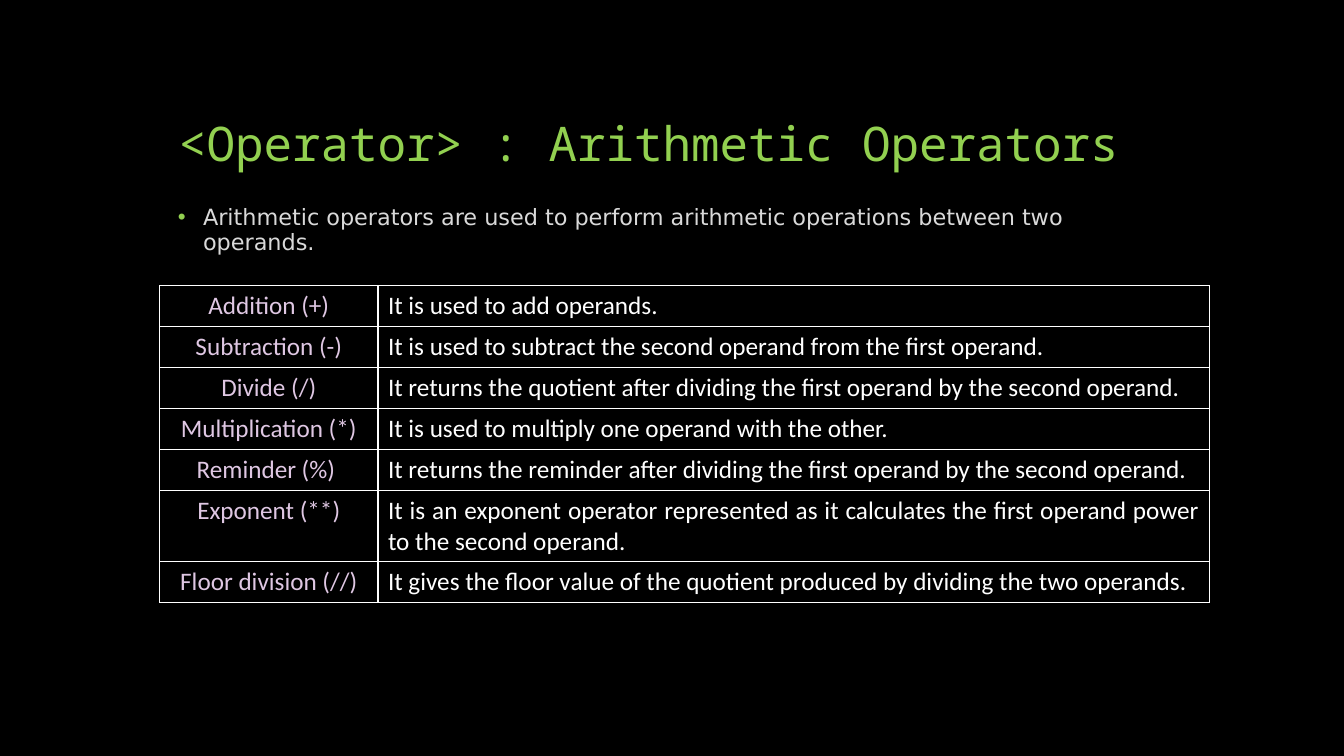
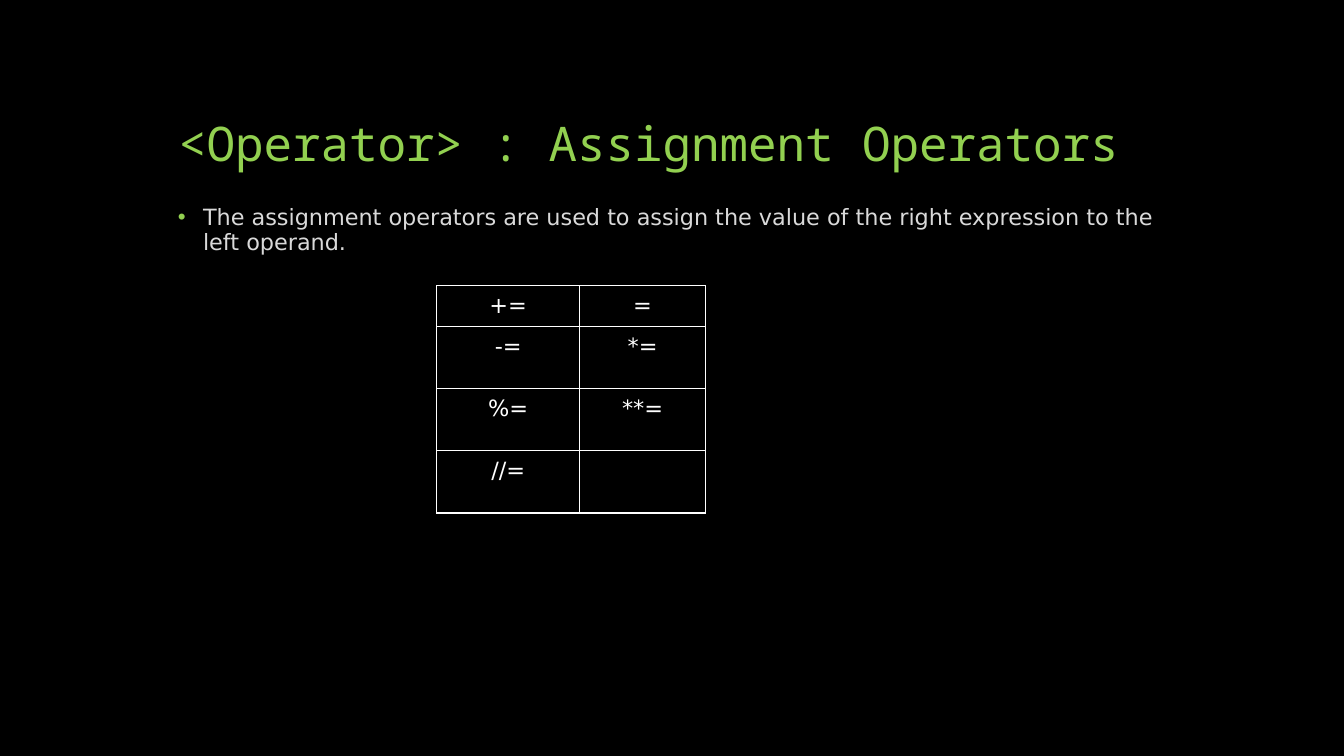
from dataclasses import dataclass
from lxml.etree import SubElement
from pptx import Presentation
from pptx.dml.color import RGBColor
from pptx.enum.text import MSO_ANCHOR, MSO_AUTO_SIZE, PP_ALIGN
from pptx.oxml.ns import qn
from pptx.util import Inches, Pt


@dataclass(frozen=True)
class Theme:
    background: str = "000000"
    accent: str = "92D050"
    body: str = "D9D9D9"
    operator: str = "DFC7E3"
    white: str = "FFFFFF"
    title_font: str = "Noto Sans Mono"
    body_font: str = "DejaVu Sans"
    table_font: str = "Calibri"
    title_size: int = 34
    body_size: int = 16
    table_size: int = 18
    border: int = 1


theme = Theme()

# Grid: 160 columns by 90 rows, each a twelfth of an inch
UNIT = Inches(1) // 12
COLUMNS, ROWS = 160, 90
MARGIN, TEXT_WIDTH = 20, 120
TITLE_TOP, TITLE_HEIGHT = 6, 15
BODY_TOP, BODY_HEIGHT = 24, 56
TABLE_TOP = 34


def grid(*steps):
    return [round(step * UNIT) for step in steps]


def style(paragraph, font, size, color, align=PP_ALIGN.LEFT):
    paragraph.alignment = align
    for run in paragraph.runs:
        run.font.name = font
        run.font.size = Pt(size)
        run.font.color.rgb = RGBColor.from_string(color)


# Content
topics = [
    {
        "title": "<Operator> : Arithmetic Operators",
        "summary": "Arithmetic operators are used to perform arithmetic "
                   "operations between two operands.",
        "left": 19,
        "widths": [26, 99],
        "heights": [4.88] * 5 + [8.5, 4.88],
        "inset": None,
        "font": (theme.table_font, theme.table_size),
        "columns": [(theme.operator, PP_ALIGN.CENTER),
                    (theme.white, PP_ALIGN.JUSTIFY)],
        "cells": [
            ("Addition (+)", "It is used to add operands."),
            ("Subtraction (-)", "It is used to subtract the second operand "
                                "from the first operand."),
            ("Divide (/)", "It returns the quotient after dividing the first "
                           "operand by the second operand."),
            ("Multiplication (*)", "It is used to multiply one operand with "
                                   "the other. "),
            ("Reminder (%) ", "It returns the reminder after dividing the "
                              "first operand by the second operand. "),
            ("Exponent (**)", "It is an exponent operator represented as it "
                              "calculates the first operand power to the "
                              "second operand."),
            ("Floor division (//)", "It gives the floor value of the quotient "
                                    "produced by dividing the two operands."),
        ],
    },
    {
        "title": "<Operator> : Assignment Operators",
        "summary": "The assignment operators are used to assign the value of "
                   "the right expression to the left operand.",
        "left": 52,
        "widths": [17, 15],
        "heights": [4.64] + [7.4] * 3,
        "inset": Inches(0.07),
        "font": (theme.body_font, theme.body_size),
        "columns": [(theme.white, PP_ALIGN.CENTER)] * 2,
        "cells": [("+=", "="), ("-=", "*="), ("%=", "**="), ("//=", "")],
    },
]

# Page and shared background
prs = Presentation()
prs.slide_width, prs.slide_height = grid(COLUMNS, ROWS)
backdrop = prs.slide_master.background.fill
backdrop.solid()
backdrop.fore_color.rgb = RGBColor.from_string(theme.background)
title_only = prs.slide_layouts.get_by_name("Title Only")

for topic in topics:
    slide = prs.slides.add_slide(title_only)

    # Title
    title = slide.shapes.title
    title.left, title.top, title.width, title.height = grid(
        MARGIN, TITLE_TOP, TEXT_WIDTH, TITLE_HEIGHT)
    title_text = title.text_frame
    title_text.text = topic["title"]
    title_text.auto_size = MSO_AUTO_SIZE.NONE
    title_text.vertical_anchor = MSO_ANCHOR.BOTTOM
    heading = title_text.paragraphs[0]
    heading.line_spacing = 0.9
    style(heading, theme.title_font, theme.title_size, theme.accent)

    # Bulleted summary
    summary_text = slide.shapes.add_textbox(
        *grid(MARGIN, BODY_TOP, TEXT_WIDTH, BODY_HEIGHT)).text_frame
    summary_text.word_wrap = True
    summary_text.text = topic["summary"]
    summary = summary_text.paragraphs[0]
    summary.line_spacing = 0.9
    summary.space_before = Pt(18)
    style(summary, theme.body_font, theme.body_size, theme.body)
    bullet = summary._p.get_or_add_pPr()
    bullet.set("marL", str(Inches(0.25)))
    bullet.set("indent", str(-Inches(0.25)))
    SubElement(SubElement(bullet, qn("a:buClr")), qn("a:srgbClr"), val=theme.accent)
    SubElement(bullet, qn("a:buFont"), typeface="Arial")
    SubElement(bullet, qn("a:buChar"), char="•")

    # Operator table
    widths, heights = topic["widths"], topic["heights"]
    operators = slide.shapes.add_table(
        len(heights), len(widths),
        *grid(topic["left"], TABLE_TOP, sum(widths), sum(heights))).table
    operators.first_row = operators.horz_banding = False
    for column, width in zip(operators.columns, grid(*widths)):
        column.width = width
    for row, height, entries in zip(operators.rows, grid(*heights), topic["cells"]):
        row.height = height
        for cell, entry, (color, align) in zip(row.cells, entries, topic["columns"]):
            cell.text = entry
            style(cell.text_frame.paragraphs[0], *topic["font"], color, align)
            if topic["inset"] is not None:
                cell.margin_left = cell.margin_right = topic["inset"]
                cell.margin_top = cell.margin_bottom = topic["inset"]

            # Borders precede the fill in the cell properties
            properties = cell._tc.get_or_add_tcPr()
            for side in ("lnL", "lnR", "lnT", "lnB"):
                line = SubElement(properties, qn(f"a:{side}"), w=str(Pt(theme.border)))
                SubElement(SubElement(line, qn("a:solidFill")),
                           qn("a:srgbClr"), val=theme.white)
            cell.fill.solid()
            cell.fill.fore_color.rgb = RGBColor.from_string(theme.background)

prs.save("out.pptx")
